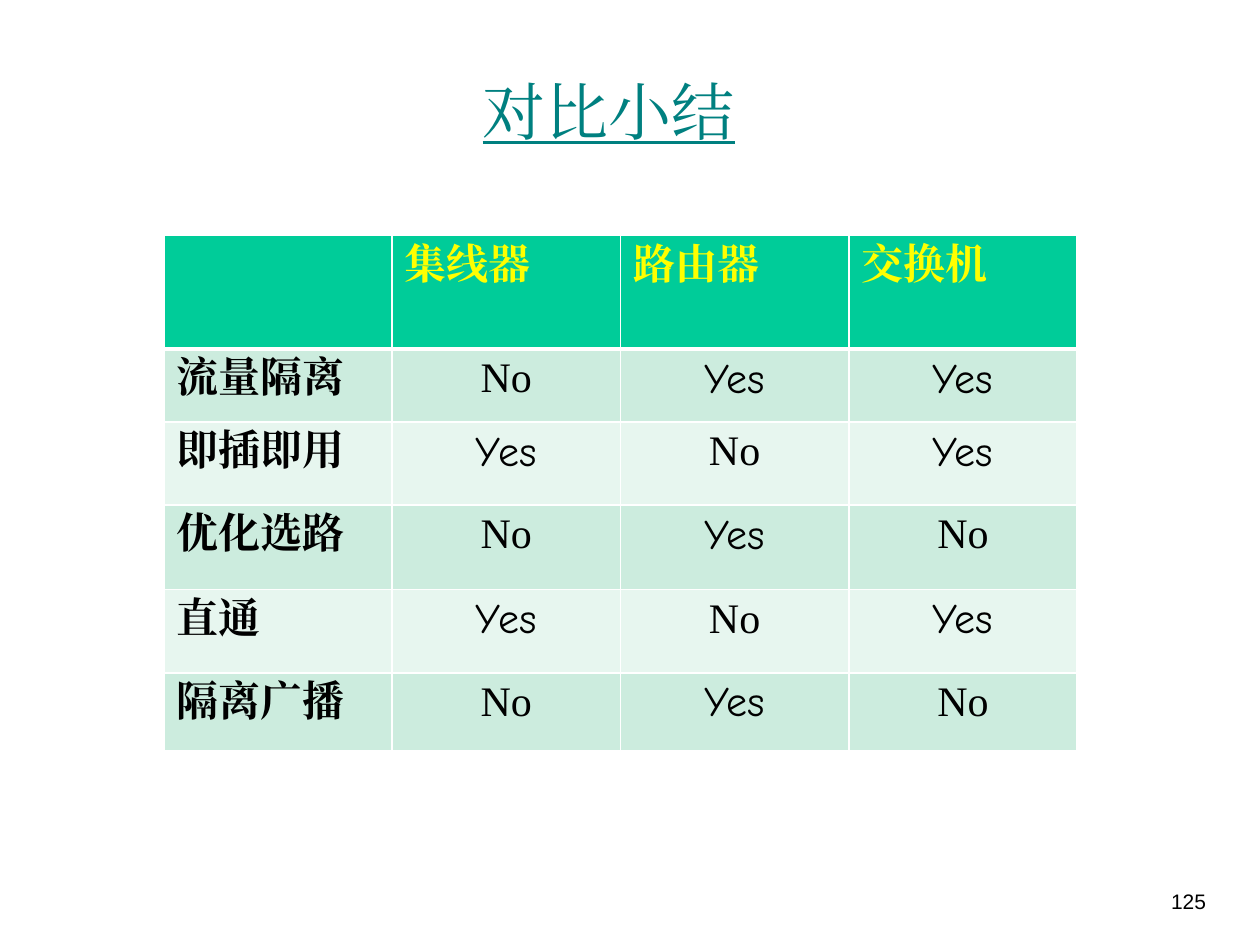
from dataclasses import dataclass

from lxml.etree import SubElement
from pptx import Presentation
from pptx.dml.color import RGBColor
from pptx.enum.text import MSO_ANCHOR, PP_ALIGN
from pptx.oxml.ns import qn
from pptx.util import Inches, Pt


@dataclass(frozen=True)
class Theme:
    serif: str = "Times New Roman"
    casual: str = "Comic Neue"
    sans: str = "Arial"
    title_size: int = 36
    table_size: int = 24
    number_size: int = 12
    title: str = "008080"
    header_fill: str = "00CC99"
    header_text: str = "FFFF00"
    bands: tuple = ("CCECDE", "E7F6EF")
    text: str = "000000"
    border: str = "FFFFFF"


THEME = Theme()
DEVICES = ["", "集线器", "路由器", "交换机"]
FEATURES = [
    ["流量隔离", "No", "Yes", "Yes"],
    ["即插即用", "Yes", "No", "Yes"],
    ["优化选路", "No", "Yes", "No"],
    ["直通", "Yes", "No", "Yes"],
    ["隔离广播", "No", "Yes", "No"],
]
ROW_HEIGHTS = [0.9, 0.58, 0.66, 0.67, 0.66, 0.62]


def style(paragraph, face, size, color, align, bold=False):
    paragraph.alignment = align
    for run in paragraph.runs:
        font = run.font
        font.name, font.size, font.bold = face, Pt(size), bold
        font.color.rgb = RGBColor.from_string(color)
        SubElement(run._r.get_or_add_rPr(), qn("a:ea")).set("typeface", face)


def set_borders(cell, top, bottom):
    """Draw the four cell borders; must run before the cell is filled."""
    properties = cell._tc.get_or_add_tcPr()
    for side, width in (("L", 1), ("R", 1), ("T", top), ("B", bottom)):
        line = SubElement(properties, qn(f"a:ln{side}"), w=str(Pt(width)))
        fill = SubElement(line, qn("a:solidFill"))
        SubElement(fill, qn("a:srgbClr"), val=THEME.border)


def place_title(slide, box, wording):
    title = slide.shapes.title
    title.left, title.top, title.width, title.height = map(Inches, box)
    frame = title.text_frame
    frame.text = wording
    frame.vertical_anchor = MSO_ANCHOR.MIDDLE
    heading = frame.paragraphs[0]
    style(heading, THEME.serif, THEME.title_size, THEME.title, PP_ALIGN.CENTER)
    heading.runs[0].font.underline = True


def fill_cell(cell, wording, row, column):
    is_header, is_label = row == 0, column == 0
    set_borders(cell, top=3 if row == 1 else 1, bottom=3 if is_header else 1)
    cell.fill.solid()
    cell.fill.fore_color.rgb = RGBColor.from_string(
        THEME.header_fill if is_header else THEME.bands[(row - 1) % 2])
    cell.text = wording
    style(cell.text_frame.paragraphs[0],
          THEME.casual if wording == "Yes" else THEME.serif,
          THEME.table_size,
          THEME.header_text if is_header else THEME.text,
          PP_ALIGN.LEFT if is_header or is_label else PP_ALIGN.CENTER,
          bold=is_header or is_label)


def place_comparison(slide, box):
    rows = [DEVICES, *FEATURES]
    table = slide.shapes.add_table(
        len(rows), len(DEVICES), *map(Inches, box)).table
    for column in table.columns:
        column.width = Inches(box[2] / len(DEVICES))
    for r, (wordings, height) in enumerate(zip(rows, ROW_HEIGHTS)):
        table.rows[r].height = Inches(height)
        for c, wording in enumerate(wordings):
            fill_cell(table.cell(r, c), wording, r, c)


def place_page_number(slide, box, number):
    frame = slide.shapes.add_textbox(*map(Inches, box)).text_frame
    frame.word_wrap = True
    frame.text = number
    style(frame.paragraphs[0], THEME.sans, THEME.number_size, THEME.text,
          PP_ALIGN.RIGHT)


def main():
    deck = Presentation()
    deck.slide_width, deck.slide_height = Inches(10), Inches(7.5)
    slide = deck.slides.add_slide(deck.slide_layouts[5])
    place_page_number(slide, (8.93, 7, 0.74, 0.5), "125")
    place_title(slide, (0.58, 0.25, 8.5, 1.25), "对比小结")
    place_comparison(slide, (1.3, 1.87, 7.25, 4.09))
    deck.save("out.pptx")


if __name__ == "__main__":
    main()
